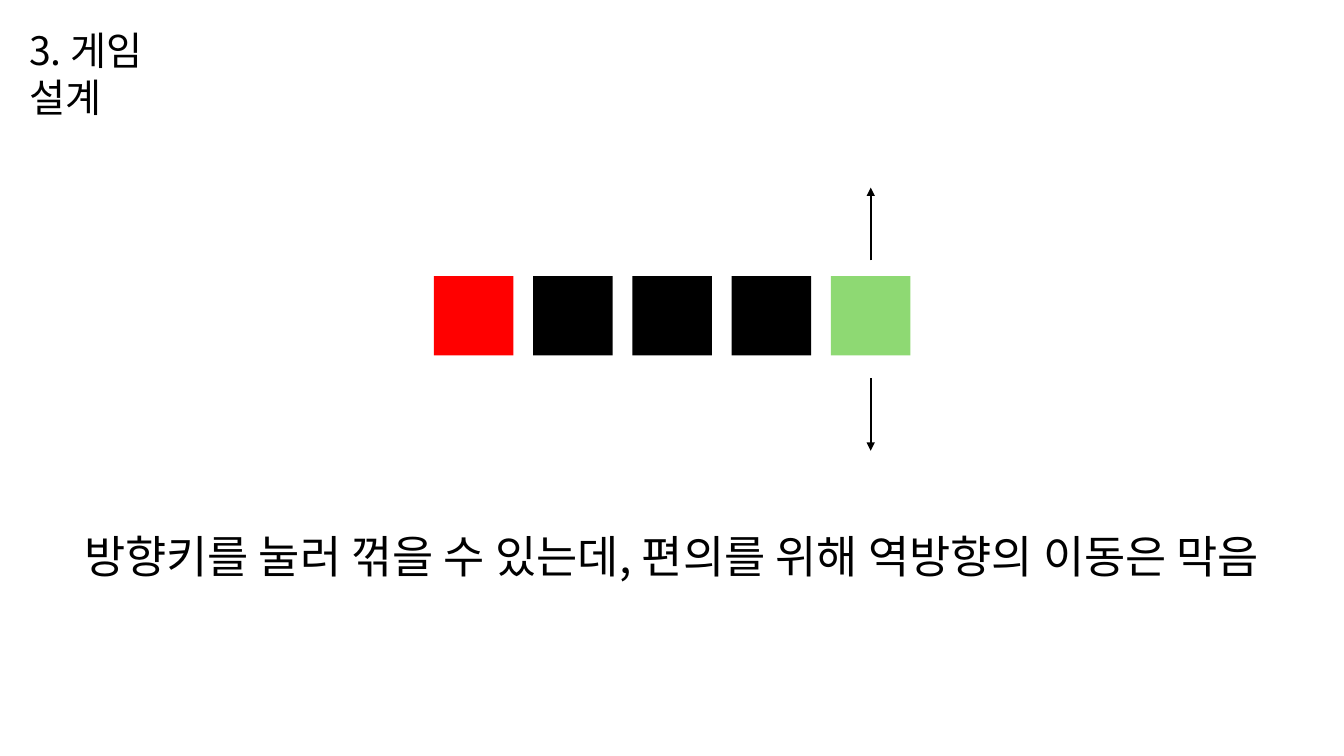
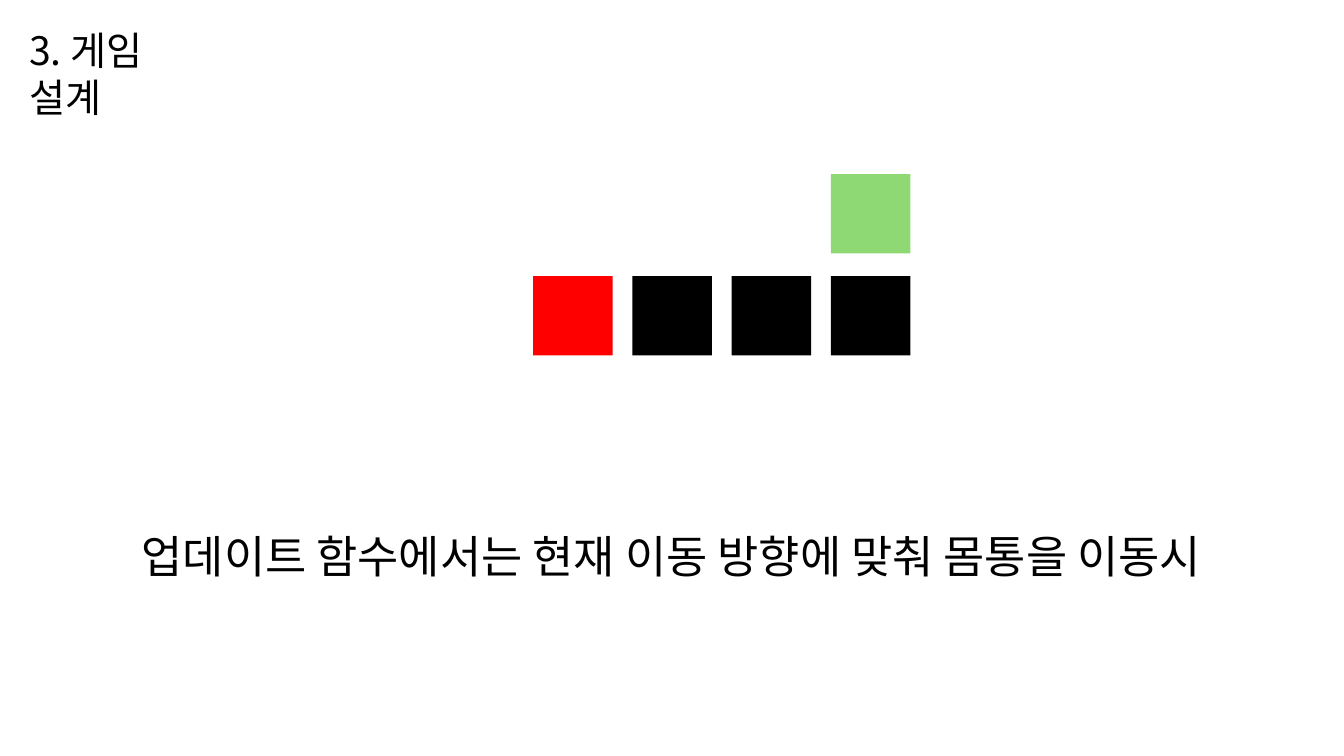
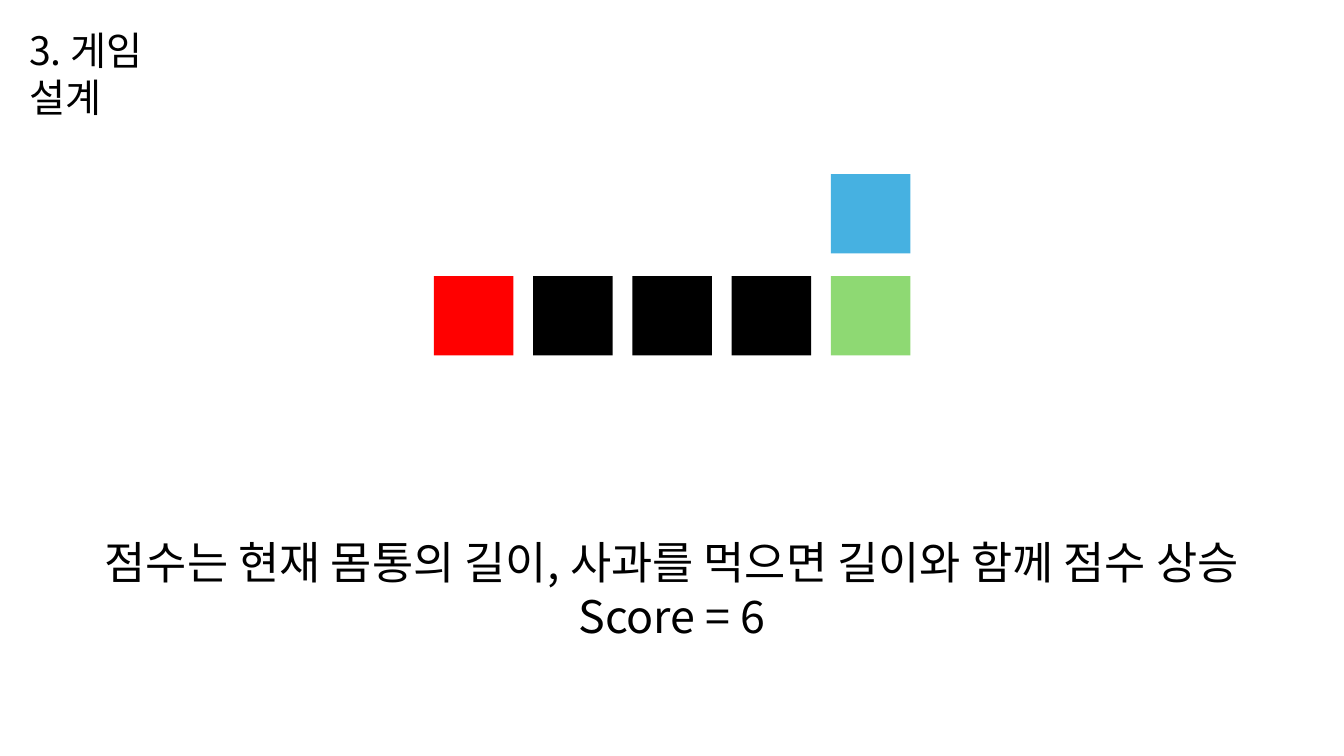
from lxml import etree
from pptx import Presentation
from pptx.dml.color import RGBColor
from pptx.enum import shapes, text
from pptx.oxml.ns import qn
from pptx.util import Pt

FONT = "Noto Sans CJK KR"
BLACK, RED, GREEN, BLUE = "000000", "FF0000", "8ED973", "46B1E1"
SLIDE_WIDTH, SLIDE_HEIGHT = 960, 540
CELL, COLUMN_STEP, ROW_STEP = 56.7, 70.9, 72.8
GRID_LEFT, GRID_TOP = 310, 124.4
HEAD_COLUMN, BODY_ROW = 4, 1


def color(value):
    """Turn a hex string into a colour."""
    return RGBColor.from_string(value)


def add_text(slide, lines, left, top, width, height, size=32, align=text.PP_ALIGN.LEFT):
    """Add a text box with one paragraph for each line."""
    box = slide.shapes.add_textbox(Pt(left), Pt(top), Pt(width), Pt(height))
    frame = box.text_frame
    frame.word_wrap = True
    frame.auto_size = text.MSO_AUTO_SIZE.SHAPE_TO_FIT_TEXT
    frame.text = "\n".join(lines)
    for paragraph in frame.paragraphs:
        paragraph.alignment = align
        for run in paragraph.runs:
            run.font.name = FONT
            run.font.size = Pt(size)
            run.font.color.rgb = color(BLACK)
            east_asian = etree.SubElement(run.font._element, qn("a:ea"))
            east_asian.set("typeface", FONT)


def add_caption(slide, lines, top, width, height):
    """Add a caption centred on the slide."""
    left = (SLIDE_WIDTH - width) / 2
    add_text(slide, lines, left, top, width, height, align=text.PP_ALIGN.CENTER)


def add_cell(slide, column, row, fill):
    """Add one square of the game grid."""
    left, top = GRID_LEFT + column * COLUMN_STEP, GRID_TOP + row * ROW_STEP
    cell = slide.shapes.add_shape(
        shapes.MSO_SHAPE.RECTANGLE, Pt(left), Pt(top), Pt(CELL), Pt(CELL))
    cell.shadow.inherit = False
    cell.fill.solid()
    cell.fill.fore_color.rgb = color(fill)
    cell.line.fill.background()


def add_row(slide, first_column, fills):
    """Add the snake's squares side by side in the body row."""
    for column, fill in enumerate(fills, first_column):
        add_cell(slide, column, BODY_ROW, fill)


def add_arrow(slide, start, end):
    """Add a vertical arrow over the centre of the head column."""
    x = GRID_LEFT + HEAD_COLUMN * COLUMN_STEP + CELL / 2
    arrow = slide.shapes.add_connector(
        shapes.MSO_CONNECTOR.STRAIGHT, Pt(x), Pt(start), Pt(x), Pt(end))
    arrow.line.color.rgb = color(BLACK)
    arrow.line.width = Pt(1.5)
    etree.SubElement(arrow.line._get_or_add_ln(), qn("a:tailEnd")).set("type", "triangle")
    etree.SubElement(arrow._element.spPr, qn("a:effectLst"))


def add_slide(presentation):
    """Add a blank slide with the shared title."""
    slide = presentation.slides.add_slide(presentation.slide_layouts[6])
    add_text(slide, ["3. 게임 설계"], 13.7, 15.1, 149.8, 41, size=28)
    return slide


def add_turning_slide(presentation):
    """Show the directions in which the snake can turn."""
    slide = add_slide(presentation)
    add_caption(slide, ["방향키를 눌러 꺾을 수 있는데, 편의를 위해 역방향의 이동은 막음"],
                374.4, 858, 46)
    add_row(slide, 0, [RED, BLACK, BLACK, BLACK, GREEN])
    add_arrow(slide, 270, 322)
    add_arrow(slide, 186, 134)


def add_moving_slide(presentation):
    """Show the body following the head."""
    slide = add_slide(presentation)
    add_caption(slide, ["업데이트 함수에서는 현재 이동 방향에 맞춰 몸통을 이동시"],
                374.4, 806, 46)
    add_row(slide, 1, [RED, BLACK, BLACK, BLACK])
    add_cell(slide, HEAD_COLUMN, 0, GREEN)


def add_score_slide(presentation):
    """Show the score and an apple next to the head."""
    slide = add_slide(presentation)
    add_caption(slide, ["점수는 현재 몸통의 길이, 사과를 먹으면 길이와 함께 점수 상승",
                        "Score = 6"], 378.7, 829, 85)
    add_row(slide, 0, [RED, BLACK, BLACK, BLACK, GREEN])
    add_cell(slide, HEAD_COLUMN, 0, BLUE)


def main():
    """Build and save the presentation."""
    presentation = Presentation()
    presentation.slide_width, presentation.slide_height = Pt(SLIDE_WIDTH), Pt(SLIDE_HEIGHT)
    add_turning_slide(presentation)
    add_moving_slide(presentation)
    add_score_slide(presentation)
    presentation.save("out.pptx")


if __name__ == "__main__":
    main()
